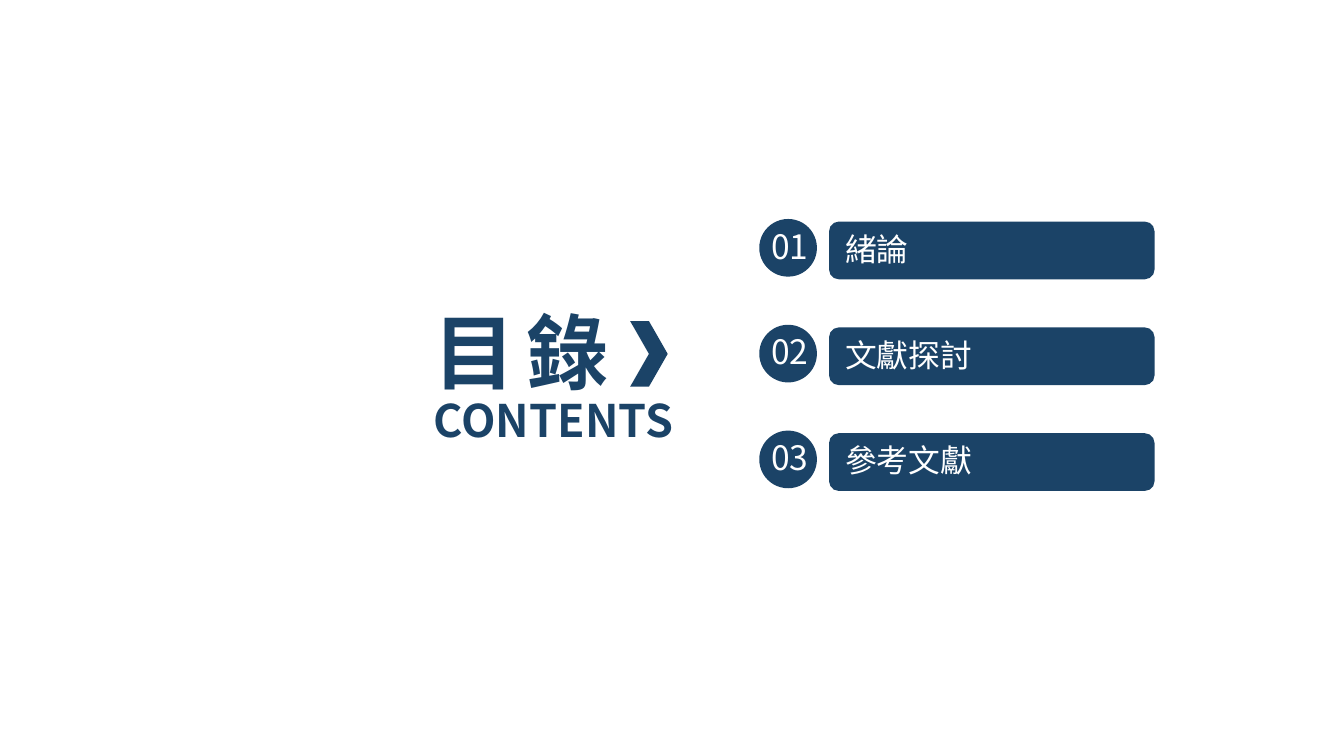
from pptx import Presentation
from pptx.dml.color import RGBColor
from pptx.enum.shapes import MSO_SHAPE
from pptx.enum.text import MSO_ANCHOR, PP_ALIGN
from pptx.oxml.ns import qn
from pptx.util import Cm, Pt
from lxml.etree import SubElement

TOPICS = ["緒論", "文獻探討", "參考文獻"]
# text, box in cm, size in points, letter gap in hundredths of a point
HEADS = [
    ("目 錄", (7.95, 5.59, 5.97, 2.13), 44, -220),
    ("CONTENTS", (7.95, 7.34, 5.87, 1.27), 24, 0),
]
COLORS = {"navy": "1B4367", "white": "FFFFFF"}
FONT = "Noto Sans CJK SC"
TOP, STEP = 4.19, 2.0


def color(name):
    return RGBColor.from_string(COLORS[name])


def add_form(parent, kind, box):
    form = parent.add_shape(kind, *map(Cm, box))
    form.shadow.inherit = False
    form.fill.solid()
    form.fill.fore_color.rgb = color("navy")
    form.line.fill.background()
    return form


def write(shape, text, size, tint, align=PP_ALIGN.LEFT, bold=False, gap=0):
    frame = shape.text_frame
    frame.word_wrap = True
    frame.vertical_anchor = MSO_ANCHOR.MIDDLE
    frame.margin_top, frame.margin_bottom = Cm(0), Cm(0.07)
    para = frame.paragraphs[0]
    para.alignment = align
    run = para.add_run()
    run.text = text
    font = run.font
    font.name, font.size, font.bold = FONT, Pt(size), bold
    font.color.rgb = color(tint)
    props = run._r.get_or_add_rPr()
    SubElement(props, qn("a:ea")).set("typeface", FONT)
    if gap:
        props.set("spc", str(gap))


def add_topic(shapes, num, text):
    """Add one numbered row: the title bar, then the badge and its number."""
    top = TOP + (num - 1) * STEP
    bar = add_form(shapes, MSO_SHAPE.ROUNDED_RECTANGLE, (15.67, top, 6.15, 1.09))
    write(bar, text, 17, "white")
    badge = shapes.add_group_shape().shapes
    add_form(badge, MSO_SHAPE.OVAL, (14.35, top - 0.05, 1.09, 1.09))
    label = badge.add_textbox(*map(Cm, (14.27, top - 0.02, 1.32, 1.02)))
    write(label, f"{num:02}", 18, "white", PP_ALIGN.CENTER)


def main():
    deck = Presentation()
    deck.slide_width, deck.slide_height = Cm(25.4), Cm(14.29)
    shapes = deck.slides.add_slide(deck.slide_layouts[6]).shapes
    for text, box, size, gap in HEADS:
        write(shapes.add_textbox(*map(Cm, box)), text, size, "navy",
              bold=True, gap=gap)
    for num, text in enumerate(TOPICS, 1):
        add_topic(shapes, num, text)
    add_form(shapes, MSO_SHAPE.CHEVRON, (11.91, 6.07, 0.71, 1.24))
    deck.save("out.pptx")


if __name__ == "__main__":
    main()
